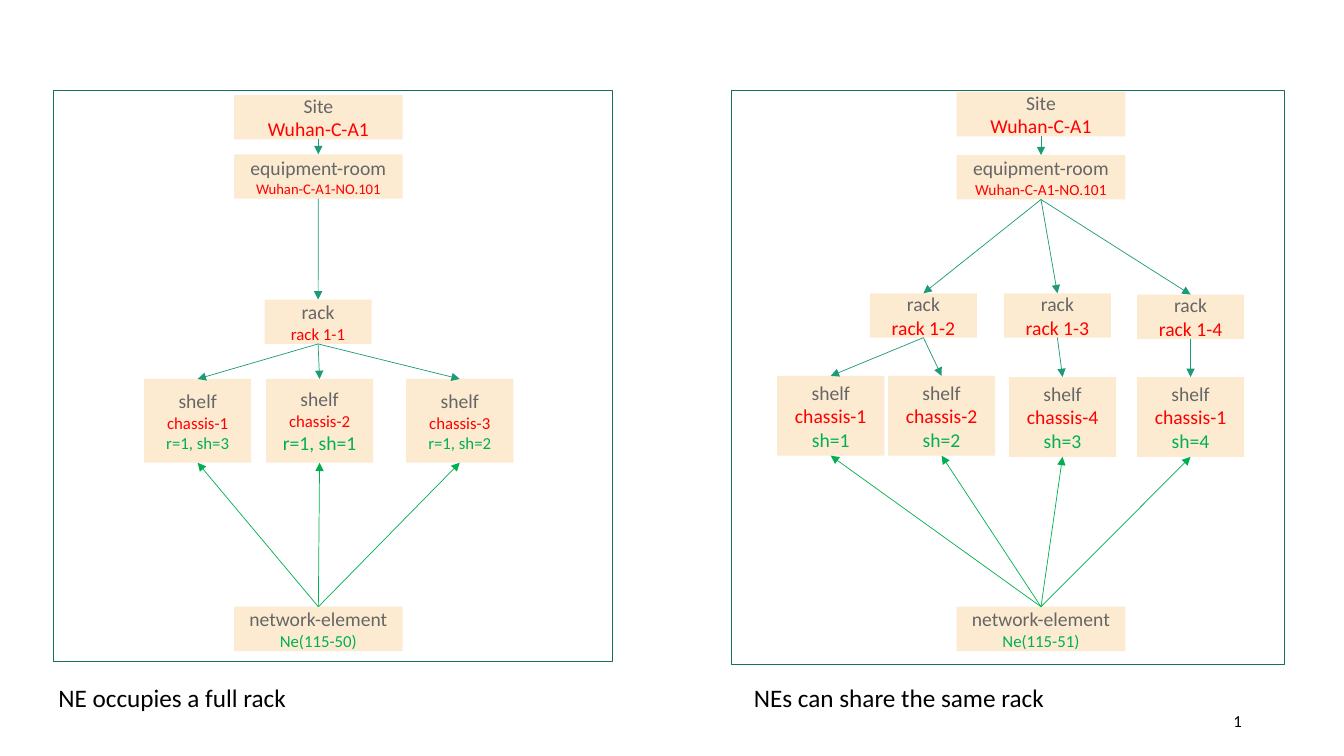
import pptx
import pptx.util
import pptx.dml.color
import pptx.enum.shapes
import pptx.enum.text
import pptx.oxml.ns
from dataclasses import dataclass
from lxml import etree

Pt = pptx.util.Pt
RGB = pptx.dml.color.RGBColor.from_string
MSO_SHAPE = pptx.enum.shapes.MSO_SHAPE
ALIGN = pptx.enum.text.PP_ALIGN
MIDDLE = pptx.enum.text.MSO_ANCHOR.MIDDLE


@dataclass(frozen=True)
class Theme:
    font: str = "Calibri"
    box: str = "FCEBD1"
    frame: str = "157259"
    arrow: str = "1D9A78"
    kind: str = "666666"
    place: str = "FF0000"
    element: str = "00B050"
    black: str = "000000"
    caption: float = 18
    body: float = 14
    small: float = 12
    room: float = 11
    room_tight: float = 10.5
    line: float = 0.5


T = Theme()
BOX_H = 31.7
WIDE, NARROW = 120.5, 76.5
TOP, BOTTOM = 0, 2  # connection sites of a rectangle

prs = pptx.Presentation()
prs.slide_width, prs.slide_height = Pt(960), Pt(540)
s = prs.slides.add_slide(prs.slide_layouts[6])


def add_text(tf, lines, align):
    """Write one paragraph per (text, size, colour) line."""
    for i, (text, size, color) in enumerate(lines):
        p = tf.paragraphs[0] if i == 0 else tf.add_paragraph()
        p.alignment = align
        r = p.add_run()
        r.text = text
        r.font.name, r.font.size = T.font, Pt(size)
        r.font.color.rgb = RGB(color)


def add_arrow(start, start_site, end, end_site, color):
    c = s.shapes.add_connector(pptx.enum.shapes.MSO_CONNECTOR.STRAIGHT, 0, 0, 0, 0)
    c.begin_connect(start, start_site)
    c.end_connect(end, end_site)
    c.line.color.rgb, c.line.width = RGB(color), Pt(T.line)
    qn = pptx.oxml.ns.qn
    etree.SubElement(c.line._get_or_add_ln(), qn("a:tailEnd"), type="triangle")
    etree.SubElement(c._element.spPr, qn("a:effectLst"))


# Each box: name -> (centre x, top, width, height, second and further lines)
panels = [
    dict(
        frame=(38.2, 64.8, 398.9, 407.5),
        caption=("NE occupies a full rack", 34.6, 179.3),
        boxes={
            "Site": [(227.4, 67.9, WIDE, BOX_H, [("Wuhan-C-A1", T.body, T.place)])],
            "equipment-room": [(227.4, 110.2, WIDE, BOX_H,
                                [("Wuhan-C-A1-NO.101", T.room_tight, T.place)])],
            "rack": [(227.2, 214, NARROW, BOX_H, [("rack 1-1", T.small, T.place)])],
            "shelf": [
                (x, 270.7, NARROW, 59.8,
                 [(f"chassis-{n}", T.small, T.place), (f"r=1, sh={sh}", size, T.element)])
                for n, x, sh, size in [(1, 141.2, 3, T.small), (2, 228.3, 1, T.body),
                                       (3, 328.4, 2, T.small)]],
            "network-element": [(227.4, 433.4, WIDE, BOX_H,
                                 [("Ne(115-50)", T.small, T.element)])],
        },
        shelf_racks=[0, 0, 0],
    ),
    dict(
        frame=(522.7, 64.8, 394.6, 409.7),
        caption=("NEs can share the same rack", 531.4, 223.9),
        boxes={
            "Site": [(743.6, 65.7, WIDE, BOX_H, [("Wuhan-C-A1", T.body, T.place)])],
            "equipment-room": [(743.6, 110.8, WIDE, BOX_H,
                                [("Wuhan-C-A1-NO.101", T.room, T.place)])],
            "rack": [
                (x, y, NARROW, BOX_H, [(f"rack 1-{n}", T.body, T.place)])
                for n, x, y in [(2, 659.6, 209.5), (3, 755.3, 209.5), (4, 850.4, 210.4)]],
            "shelf": [
                (x, y, NARROW, 57,
                 [(f"chassis-{n}", T.body, T.place), (f"sh={sh}", T.body, T.element)])
                for sh, (n, x, y) in enumerate(
                    [(1, 593.4, 268.5), (2, 672.6, 268.5),
                     (4, 759, 269.3), (1, 850.4, 269.3)], start=1)],
            "network-element": [(743.6, 433.4, WIDE, BOX_H,
                                 [("Ne(115-51)", T.small, T.element)])],
        },
        shelf_racks=[0, 0, 1, 2],
    ),
]

for panel in panels:
    frame = s.shapes.add_shape(MSO_SHAPE.RECTANGLE, *map(Pt, panel["frame"]))
    frame.shadow.inherit = False
    frame.fill.background()
    frame.line.color.rgb, frame.line.width = RGB(T.frame), Pt(T.line)

    nodes = {}
    for kind, boxes in panel["boxes"].items():
        nodes[kind] = []
        for x, y, w, h, details in boxes:
            sp = s.shapes.add_shape(MSO_SHAPE.RECTANGLE, Pt(x - w / 2), Pt(y), Pt(w), Pt(h))
            sp.shadow.inherit = False
            sp.fill.solid()
            sp.fill.fore_color.rgb = RGB(T.box)
            sp.line.fill.background()
            tf = sp.text_frame
            tf.word_wrap, tf.vertical_anchor = True, MIDDLE
            add_text(tf, [(kind, T.body, T.kind)] + details, ALIGN.CENTER)
            nodes[kind].append(sp)

    site, room, element = (nodes[k][0] for k in ("Site", "equipment-room", "network-element"))
    add_arrow(site, BOTTOM, room, TOP, T.arrow)
    for rack in nodes["rack"]:
        add_arrow(room, BOTTOM, rack, TOP, T.arrow)
    for shelf, rack_index in zip(nodes["shelf"], panel["shelf_racks"]):
        add_arrow(nodes["rack"][rack_index], BOTTOM, shelf, TOP, T.arrow)
        add_arrow(element, TOP, shelf, BOTTOM, T.element)

    text, x, w = panel["caption"]
    tb = s.shapes.add_textbox(Pt(x), Pt(483.8), Pt(w), Pt(29))
    tb.text_frame.word_wrap = False
    add_text(tb.text_frame, [(text, T.caption, T.black)], ALIGN.LEFT)

number = s.shapes.add_textbox(Pt(678.2), Pt(500.5), Pt(216), Pt(28.8))
number.text_frame.word_wrap = True
number.text_frame.vertical_anchor = MIDDLE
add_text(number.text_frame, [("1", T.small, T.black)], ALIGN.RIGHT)

prs.save("out.pptx")
